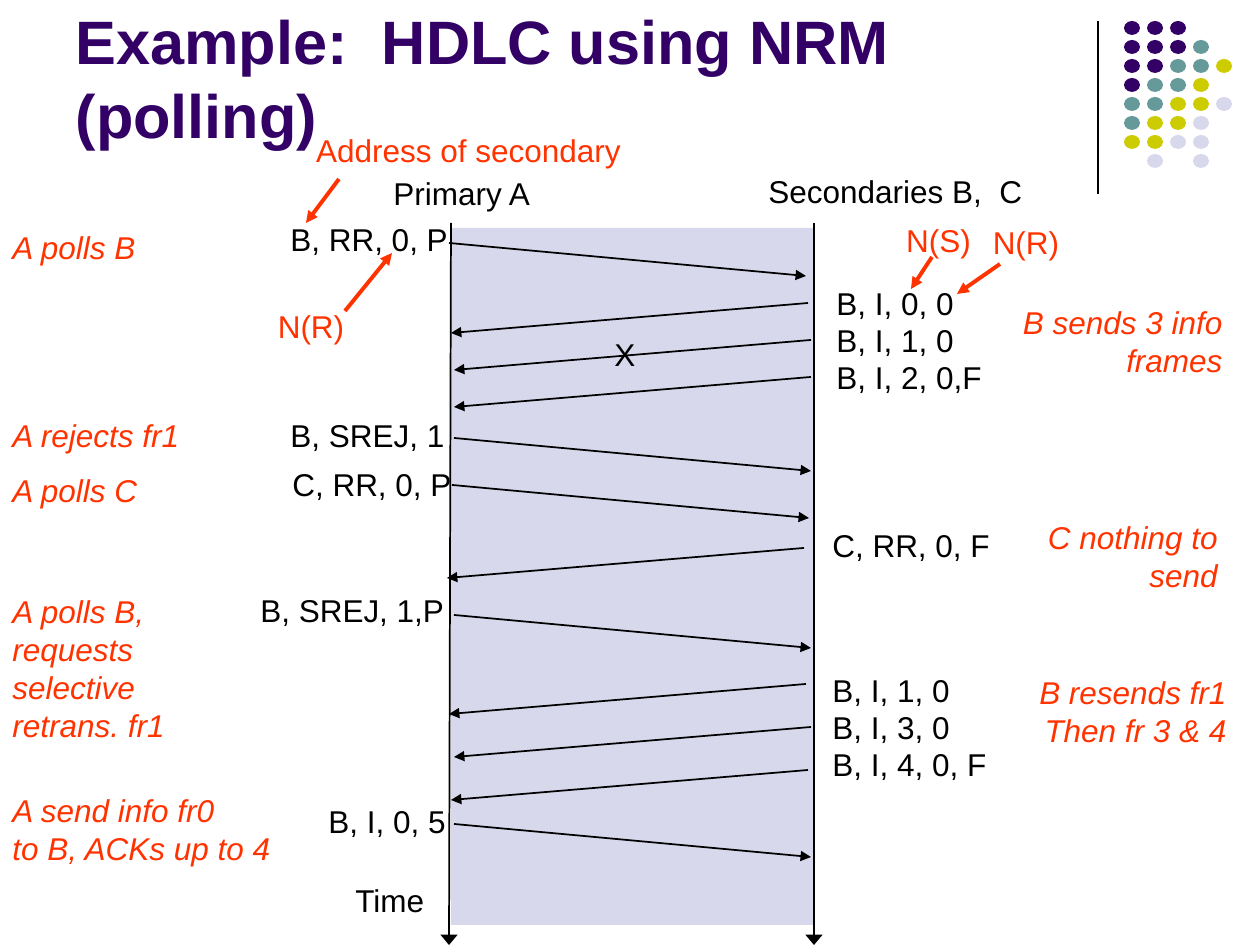
from lxml import etree
from pptx import Presentation
from pptx.dml.color import RGBColor
from pptx.enum.shapes import MSO_CONNECTOR, MSO_SHAPE
from pptx.enum.text import MSO_ANCHOR, MSO_AUTO_SIZE, PP_ALIGN
from pptx.oxml.ns import qn
from pptx.util import Emu, Pt

STRAIGHT = MSO_CONNECTOR.STRAIGHT
OVAL, RECTANGLE = MSO_SHAPE.OVAL, MSO_SHAPE.RECTANGLE
LEFT, CENTER, RIGHT = PP_ALIGN.LEFT, PP_ALIGN.CENTER, PP_ALIGN.RIGHT
BOTTOM = MSO_ANCHOR.BOTTOM
NO_FIT, GROW = MSO_AUTO_SIZE.NONE, MSO_AUTO_SIZE.SHAPE_TO_FIT_TEXT

FONT = "Arial"
COLORS = {"ink": "000000", "purple": "330066", "teal": "669999",
          "lime": "CCCC00", "lavender": "D8D8EC", "note": "FF3300"}

TITLE = "Example:  HDLC using NRM (polling)"
DOT_ROWS = ["PPP", "PPPT", "PPTTL", "PTTL", "TTLLV", "TLLV", "LLVV", " V V"]
DOT_COLORS = {"P": "purple", "T": "teal", "L": "lime", "V": "lavender"}

CHANNEL = (451, 228, 363, 697)
TIME_AXES = [(451, 223, 449, 945), (814, 223, 814, 945)]
TO_SECONDARY = [(449, 243), (454, 438), (452, 485), (454, 615), (454, 824)]
TO_PRIMARY = [(808, 303), (811, 340), (811, 377), (804, 548),
              (806, 684), (811, 727), (808, 770)]
SPAN, DROP_OUT, DROP_BACK = 357, 33, 30

FRAMES = [
    ("Primary A", 381, 168, 168),
    ("Secondaries B,  C", 756, 166, 284),
    ("B, RR, 0, P", 278, 214, 187),
    ("B, I, 0, 0", 824, 278, 146),
    ("B, I, 1, 0", 824, 315, 146),
    ("B, I, 2, 0,F", 824, 352, 174),
    ("X", 602, 329, 50),
    ("B, SREJ, 1", 278, 410, 183),
    ("C, RR, 0, P", 280, 459, 188),
    ("C, RR, 0, F", 820, 520, 187),
    ("B, SREJ, 1,P", 248, 585, 213),
    ("B, I, 1, 0", 820, 665, 146),
    ("B, I, 3, 0", 820, 702, 146),
    ("B, I, 4, 0, F", 820, 739, 183),
    ("B, I, 0, 5", 316, 796, 146),
    ("Time", 343, 875, 99),
]
STEPS = [
    (["A polls B"], 0, 222, 153, 1, LEFT, False),
    (["B sends 3 info", "frames"], 1006, 297, 229, 2, RIGHT, False),
    (["A rejects fr1"], 0, 410, 197, 1, LEFT, False),
    (["A polls C"], 0, 465, 155, 1, LEFT, False),
    (["C nothing to send"], 997, 512, 233, 2, RIGHT, True),
    (["A polls B, requests", "selective retrans. fr1"], 0, 586, 237, 4, LEFT, True),
    (["B resends fr1", "Then fr 3 & 4"], 1021, 667, 218, 2, RIGHT, False),
    (["A send info fr0", "to B, ACKs up to 4"], 0, 785, 287, 2, LEFT, False),
]
FIELDS = [
    ("N(R)", 263, 301, 96),
    ("N(S)", 891, 215, 95),
    ("N(R)", 978, 217, 96),
    ("Address of secondary", 301, 125, 335),
]
POINTERS = [(345, 311, 392, 253), (932, 257, 911, 289),
            (1000, 264, 957, 294), (339, 179, 306, 223)]


def px(value):
    return Emu(round(value * 914400 / 126))


def color(name):
    return RGBColor.from_string(COLORS[name])


def add_solid(kind, box, fill):
    solid = slide.shapes.add_shape(kind, *map(px, box))
    solid.shadow.inherit = False
    solid.fill.solid()
    solid.fill.fore_color.rgb = color(fill)
    solid.line.fill.background()


def add_line(ends, ink="ink", width=1, head="med"):
    line = slide.shapes.add_connector(STRAIGHT, *map(px, ends))
    line.line.color.rgb = color(ink)
    line.line.width = Pt(width)
    if head:
        etree.SubElement(line.line._get_or_add_ln(), qn("a:tailEnd"),
                         type="triangle", w=head, len="med")
    etree.SubElement(line._element.spPr, qn("a:effectLst"))


def write(paragraph, text, size, ink, align, bold=False, italic=False):
    paragraph.alignment = align
    run = paragraph.add_run()
    run.text = text
    run.font.name, run.font.size = FONT, Pt(size)
    run.font.bold, run.font.italic = bold, italic
    run.font.color.rgb = color(ink)


def add_label(texts, left, top, width, lines=1, ink="ink", align=LEFT,
              wrap=False, italic=False):
    height = 50 + 38 * (lines - 1)
    frame = slide.shapes.add_textbox(*map(px, (left, top, width, height))).text_frame
    frame.word_wrap, frame.auto_size = wrap, GROW
    for index, text in enumerate(texts):
        paragraph = frame.add_paragraph() if index else frame.paragraphs[0]
        write(paragraph, text, 18, ink, align, italic=italic)


deck = Presentation()
deck.slide_width, deck.slide_height = px(1260), px(945)
slide = deck.slides.add_slide(deck.slide_layouts[5])

title = slide.shapes.title
title.left, title.top, title.width, title.height = map(px, (63, 16, 1040, 141))
title.text_frame.word_wrap = True
title.text_frame.auto_size = NO_FIT
title.text_frame.vertical_anchor = BOTTOM
write(title.text_frame.paragraphs[0], TITLE, 35, "purple", LEFT, bold=True)

add_line((1098, 21, 1098, 194), width=0.75, head=None)
for row, dots in enumerate(DOT_ROWS):
    for column, dot in enumerate(dots):
        if dot in DOT_COLORS:
            add_solid(OVAL, (1124 + 23 * column, 21 + 19 * row, 16, 14), DOT_COLORS[dot])

add_solid(RECTANGLE, CHANNEL, "lavender")
for axis in TIME_AXES:
    add_line(axis, head="lg")
for x, y in TO_SECONDARY:
    add_line((x, y, x + SPAN, y + DROP_OUT))
for x, y in TO_PRIMARY:
    add_line((x, y, x - SPAN, y + DROP_BACK))
for text, left, top, width in FRAMES:
    add_label([text], left, top, width)

for texts, left, top, width, lines, align, wrap in STEPS:
    add_label(texts, left, top, width, lines, "note", align, wrap, italic=True)
for text, left, top, width in FIELDS:
    add_label([text], left, top, width, ink="note", align=CENTER)
for pointer in POINTERS:
    add_line(pointer, "note", 2.25)

deck.save("out.pptx")
